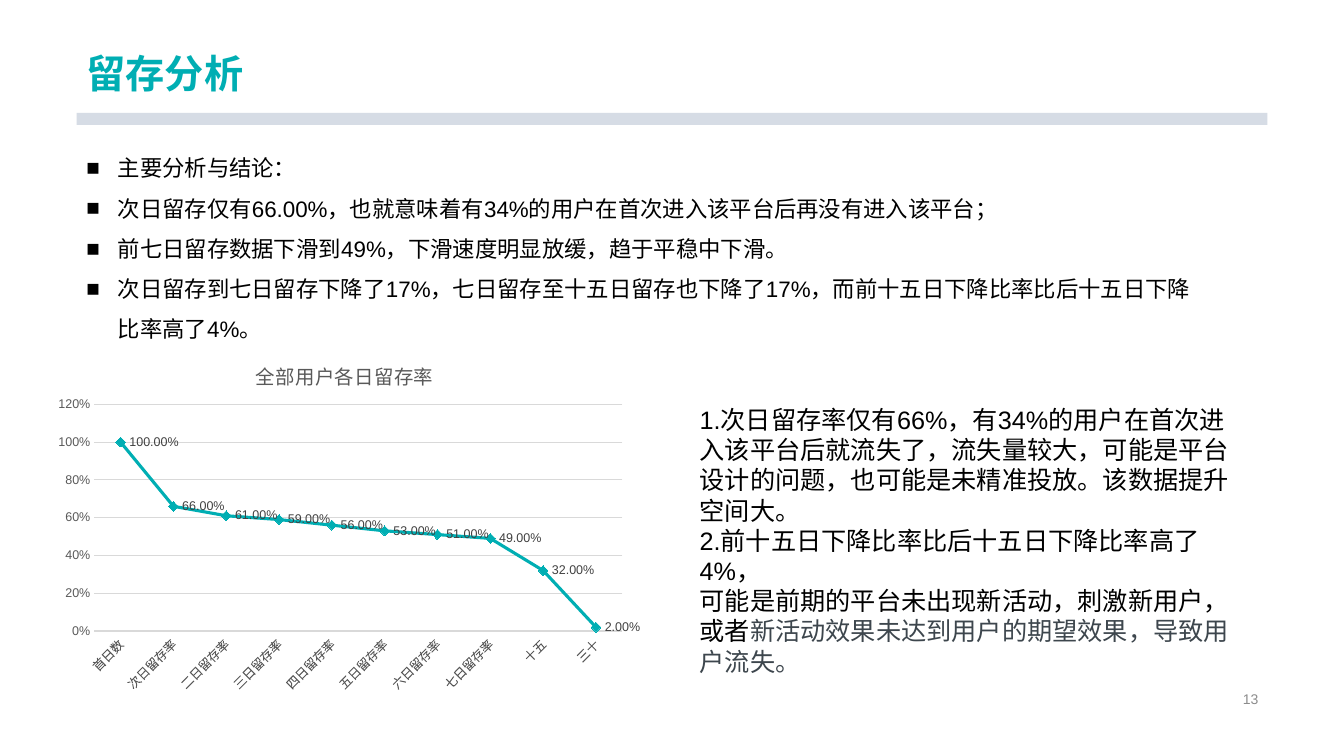
from lxml import etree
from pptx import Presentation
from pptx.chart.data import CategoryChartData
from pptx.dml.color import RGBColor
from pptx.enum.chart import XL_CHART_TYPE, XL_LABEL_POSITION, XL_MARKER_STYLE, XL_TICK_MARK
from pptx.enum.shapes import MSO_SHAPE
from pptx.enum.text import MSO_ANCHOR, PP_ALIGN
from pptx.oxml.ns import qn
from pptx.util import Inches, Pt

LINE_MARKERS = XL_CHART_TYPE.LINE_MARKERS
LABEL_RIGHT = XL_LABEL_POSITION.RIGHT
DIAMOND = XL_MARKER_STYLE.DIAMOND
NO_TICK = XL_TICK_MARK.NONE
RECTANGLE = MSO_SHAPE.RECTANGLE
TOP, MIDDLE, BOTTOM = MSO_ANCHOR.TOP, MSO_ANCHOR.MIDDLE, MSO_ANCHOR.BOTTOM
LEFT, RIGHT = PP_ALIGN.LEFT, PP_ALIGN.RIGHT

LATIN, CJK = "Arial", "Noto Sans CJK SC"
TEAL, BLACK, SLATE = "00AEB3", "000000", "3D464D"
GRID, AXIS_TEXT, LABEL_TEXT = "D9D9D9", "595959", "404040"
PERCENT, PERCENT_LABEL = "0%", "0.00%"

FINDINGS = [
    "主要分析与结论：",
    "次日留存仅有66.00%，也就意味着有34%的用户在首次进入该平台后再没有进入该平台；",
    "前七日留存数据下滑到49%，下滑速度明显放缓，趋于平稳中下滑。",
    "次日留存到七日留存下降了17%，七日留存至十五日留存也下降了17%，而前十五日下降比率比后十五日下降比率高了4%。",
]
REASONS = [
    "1.次日留存率仅有66%，有34%的用户在首次进入该平台后就流失了，流失量较大，可能是平台设计的问题，也可能是未精准投放。该数据提升空间大。",
    "2.前十五日下降比率比后十五日下降比率高了4%，",
    "可能是前期的平台未出现新活动，刺激新用户，或者",
]
REASON_ENDING = "新活动效果未达到用户的期望效果，导致用户流失。"
RETENTION = {
    "首日数": 1, "次日留存率": 0.66, "二日留存率": 0.61, "三日留存率": 0.59,
    "四日留存率": 0.56, "五日留存率": 0.53, "六日留存率": 0.51,
    "七日留存率": 0.49, "十五日留存率": 0.32, "三十日留存率": 0.02,
}


def rgb(hex_color):
    """Turn a hex string into a colour."""
    return RGBColor.from_string(hex_color)


def style_font(font, size, color, name=LATIN, bold=False):
    """Set size, colour, weight and both the Latin and East Asian faces."""
    font.size, font.bold, font.name = Pt(size), bold, name
    font.color.rgb = rgb(color)
    latin = font._rPr.find(qn("a:latin"))
    east_asian = etree.Element(qn("a:ea"), typeface=CJK)
    latin.addnext(east_asian)


def write_paragraphs(frame, lines, size, color, anchor=TOP, align=LEFT, spacing=1.0, bold=False):
    """Fill a text frame with one styled paragraph per line."""
    frame.word_wrap = True
    frame.vertical_anchor = anchor
    frame.text = "\n".join(lines)
    for paragraph in frame.paragraphs:
        paragraph.alignment = align
        paragraph.line_spacing = spacing
        for run in paragraph.runs:
            style_font(run.font, size, color, bold=bold)


def add_bullet(paragraph, indent):
    """Give a paragraph a square bullet with a hanging indent."""
    properties = paragraph._p.get_or_add_pPr()
    properties.set("marL", str(indent))
    properties.set("indent", str(-indent))
    etree.SubElement(properties, qn("a:buFont"), typeface=LATIN)
    etree.SubElement(properties, qn("a:buChar"), char="■")


def add_header(slide, left, top, width, height):
    """Place the title above its rule."""
    rule_height = Inches(0.12)
    rule = slide.shapes.add_shape(RECTANGLE, left, top + height - rule_height, width, rule_height)
    rule.shadow.inherit = False
    rule.fill.solid()
    rule.fill.fore_color.rgb = rgb("D6DCE5")
    rule.line.fill.background()
    title = slide.shapes.title
    title.left, title.top, title.width = left, top, width
    title.height = height - Inches(0.23)
    write_paragraphs(title.text_frame, ["留存分析"], 28, TEAL, BOTTOM, spacing=0.9, bold=True)


def add_findings(slide, left, top, width, height):
    """Place the bulleted findings."""
    frame = slide.shapes.add_textbox(left, top, width, height).text_frame
    write_paragraphs(frame, FINDINGS, 16, BLACK, spacing=1.5)
    for paragraph in frame.paragraphs:
        add_bullet(paragraph, Inches(0.31))


def add_reasons(slide, left, top, width, height):
    """Place the explanation, which closes on a slate run."""
    frame = slide.shapes.add_textbox(left, top, width, height).text_frame
    write_paragraphs(frame, REASONS, 18, BLACK)
    ending = frame.paragraphs[-1].add_run()
    ending.text = REASON_ENDING
    style_font(ending.font, 18, SLATE, CJK)


def add_page_number(slide, left, top, width, height):
    """Place the page number at the right of its box."""
    frame = slide.shapes.add_textbox(left, top, width, height).text_frame
    frame.margin_top = frame.margin_bottom = 0
    write_paragraphs(frame, ["13"], 10, "8C8C8C", MIDDLE, RIGHT)


def set_plot_box(chart, x, y, w, h):
    """Fix the inner plot area as fractions of the chart."""
    plot_area = chart._chartSpace.chart.plotArea
    for old_layout in plot_area.findall(qn("c:layout")):
        plot_area.remove(old_layout)
    layout = etree.Element(qn("c:layout"))
    manual = etree.SubElement(layout, qn("c:manualLayout"))
    settings = {"layoutTarget": "inner", "xMode": "edge", "yMode": "edge", "x": x, "y": y, "w": w, "h": h}
    for tag, value in settings.items():
        etree.SubElement(manual, qn(f"c:{tag}"), val=str(value))
    plot_area.insert(0, layout)


def style_axes(chart):
    """Format the category and value axes."""
    days, rates = chart.category_axis, chart.value_axis
    for axis in (days, rates):
        axis.major_tick_mark = axis.minor_tick_mark = NO_TICK
        style_font(axis.tick_labels.font, 9, AXIS_TEXT)
    days.has_major_gridlines = False
    rates.has_major_gridlines = True
    for line in (days.format.line, rates.major_gridlines.format.line):
        line.color.rgb = rgb(GRID)
        line.width = Pt(0.75)
    days._element.find(qn("c:txPr")).find(qn("a:bodyPr")).set("rot", str(-45 * 60000))
    rates.format.line.fill.background()
    rates.minimum_scale, rates.maximum_scale, rates.major_unit = 0, 1.2, 0.2
    rates.tick_labels.number_format = PERCENT
    rates.tick_labels.number_format_is_linked = False


def style_retention_line(plot):
    """Format the line, its markers and its value labels."""
    retention = plot.series[0]
    retention.smooth = False
    retention.format.line.color.rgb = rgb(TEAL)
    retention.format.line.width = Pt(2.25)
    marker = retention.marker
    marker.style, marker.size = DIAMOND, 7
    marker.format.fill.solid()
    marker.format.fill.fore_color.rgb = rgb(TEAL)
    marker.format.line.color.rgb = rgb(TEAL)
    labels = retention.data_labels
    labels.show_value = True
    labels.position = LABEL_RIGHT
    labels.number_format = PERCENT_LABEL
    labels.number_format_is_linked = False
    style_font(labels.font, 9, LABEL_TEXT)


def add_retention_chart(slide, left, top, width, height):
    """Place the line chart of daily retention."""
    data = CategoryChartData(number_format=PERCENT_LABEL)
    data.categories = list(RETENTION)
    data.add_series("全部用户各日留存率", list(RETENTION.values()))
    chart = slide.shapes.add_chart(LINE_MARKERS, left, top, width, height, data).chart
    style_font(chart.font, 10, BLACK)
    chart.has_legend = False
    chart.has_title = True
    heading = chart.chart_title.text_frame
    heading.text = "全部用户各日留存率"
    style_font(heading.paragraphs[0].runs[0].font, 14, AXIS_TEXT)
    chart.chart_title.include_in_layout = False
    chart.plots[0].vary_by_categories = False
    set_plot_box(chart, 0.067, 0.168, 0.913, 0.618)
    style_axes(chart)
    style_retention_line(chart.plots[0])


def main():
    """Build and save the slide."""
    deck = Presentation()
    deck.slide_width, deck.slide_height = Inches(13.33), Inches(7.5)
    slide = deck.slides.add_slide(deck.slide_layouts[5])
    margin = Inches(0.76)
    add_header(slide, margin, 0, Inches(11.81), Inches(1.24))
    add_page_number(slide, Inches(9.42), Inches(6.82), Inches(3.16), Inches(0.23))
    add_findings(slide, margin, Inches(1.35), Inches(11.17), Inches(2.88))
    add_retention_chart(slide, Inches(0.55), Inches(3.4), Inches(5.8), Inches(3.64))
    add_reasons(slide, Inches(6.84), Inches(3.96), Inches(5.52), Inches(2.52))
    deck.save("out.pptx")


if __name__ == "__main__":
    main()
